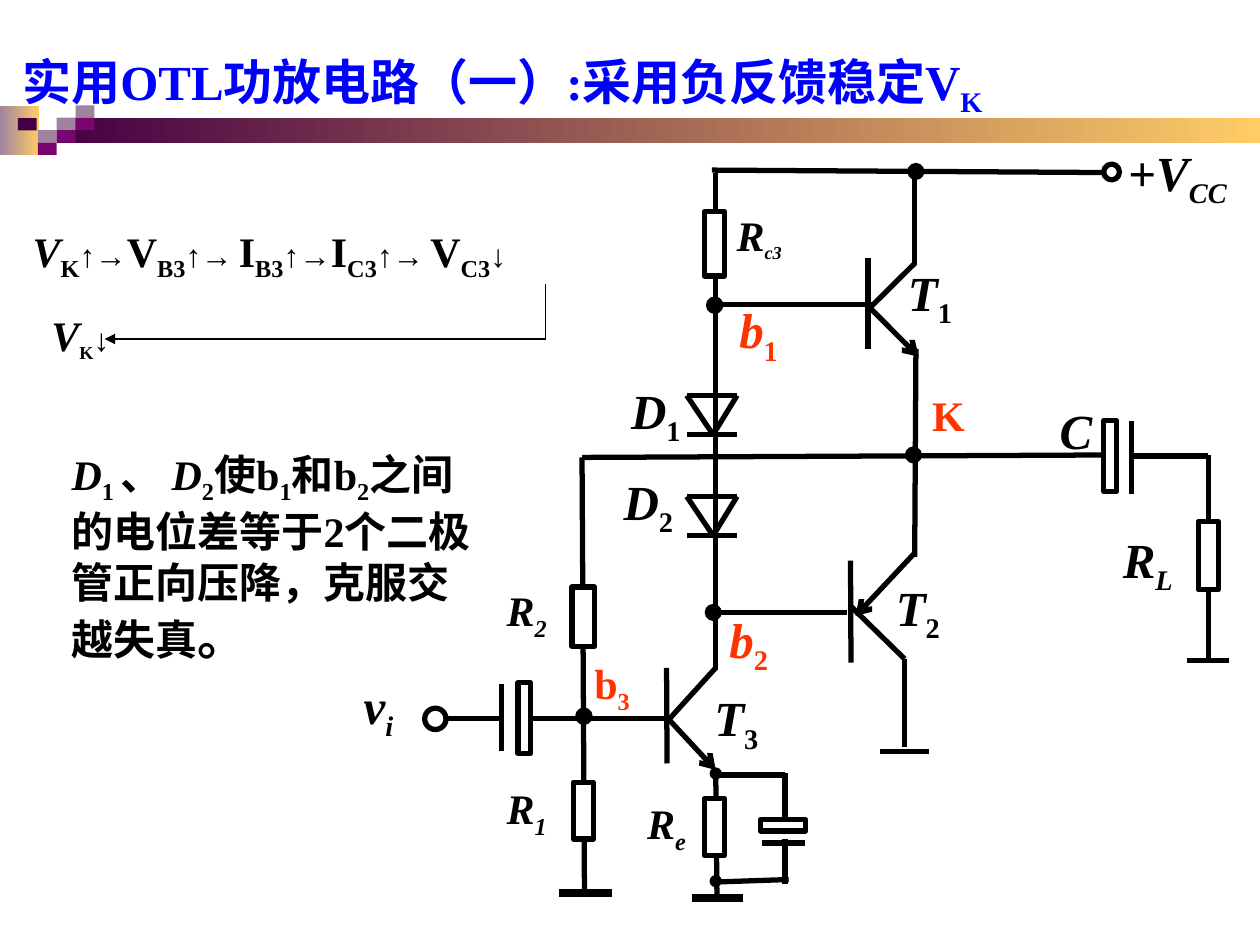
from lxml import etree
from pptx import Presentation
from pptx.dml.color import RGBColor
from pptx.enum.shapes import MSO_CONNECTOR, MSO_SHAPE
from pptx.enum.text import MSO_ANCHOR, MSO_AUTO_SIZE, PP_ALIGN
from pptx.oxml.ns import qn
from pptx.util import Pt

RECT, OVAL = MSO_SHAPE.RECTANGLE, MSO_SHAPE.OVAL
STRAIGHT = MSO_CONNECTOR.STRAIGHT
LEFT, CENTER = PP_ALIGN.LEFT, PP_ALIGN.CENTER
TOP, MIDDLE = MSO_ANCHOR.TOP, MSO_ANCHOR.MIDDLE
FIT = MSO_AUTO_SIZE.SHAPE_TO_FIT_TEXT
FONT = "Times New Roman"
BLACK, WHITE, BLUE, RED = "000000", "FFFFFF", "0000FF", "FF3300"
PLUM, MAUVE, VIOLET, GOLD = "440044", "9F839F", "790571", "FFCC66"

BANDS = [(0, 60.5, 22.3, 28, MAUVE), (32.4, 67.2, 687.6, 14.4, PLUM)]
TILES = [(1, 1, MAUVE), (2, 0, MAUVE), (2, 1, VIOLET), (0, 2, MAUVE),
         (1, 2, VIOLET), (0, 3, VIOLET)]

WIRES = [
    (409, 98.6, 409, 383), (406.8, 97.2, 630.7, 98.6), (522.7, 98, 522.7, 151.2),
    (523.4, 199.4, 522.7, 318.2), (499.7, 174.2, 406, 174.2),
    (408.2, 350, 483.8, 350), (517, 376.6, 517, 427), (332.6, 261.4, 630.7, 260),
    (332.6, 261.4, 334, 509.8), (646.6, 260.6, 690.5, 260.6),
    (690.5, 260, 690.5, 298), (690.5, 337, 690.5, 377.3),
    (380.9, 410.4, 304.6, 410.4), (286.6, 410.4, 252, 410.4),
    (409, 440, 409.7, 512.6), (448.6, 442.8, 409, 442.8),
    (448.6, 442, 448.6, 467.3), (450.7, 502.6, 409, 504),
    (448.6, 479.5, 448.6, 505.4),
]
PLATES = [(646.6, 240.5, 646.6, 282.2), (286.6, 391, 286.6, 429),
          (435.6, 481.7, 460, 481.7)]
TRANSISTORS = [
    (522.7, 150.5, 496, 177), (496, 147.6, 496, 199.4),
    (486, 320.4, 486.3, 378.7), (486, 346.3, 517, 376.6),
    (409, 381.6, 380.9, 412.6), (380.9, 381.6, 381.2, 436.3),
]
EMITTERS = [(495.4, 174.2, 524.9, 203.8), (522.7, 316, 488.9, 352),
            (380.9, 409.7, 409, 440)]
GROUNDS = [(678.2, 377.5, 702, 377.5, 3), (502.6, 429.3, 530.6, 429.3, 3),
           (395.3, 513.4, 424.8, 513.4, 4.5), (319.7, 510.5, 350, 510.5, 4.5)]
DIODE_TOPS = [226, 283.7]
DIODE_LEFT, DIODE_TIP, DIODE_RIGHT, DIODE_HEIGHT = 392.4, 407.5, 421.2, 22.4

BOXES = [
    (630.7, 240.5, 7.2, 40.3), (402.5, 121, 11.5, 36.7), (684.7, 298, 11.5, 39),
    (296, 390.2, 7.2, 40.3), (402.5, 456.5, 11.5, 32.4), (434.5, 468.4, 26, 6.5),
    (326.9, 335.5, 13, 33.8), (327.6, 447, 11.5, 32.4),
]
TERMINALS = [(248.8, 410.8, 12.2), (635.2, 98.3, 9)]
NODES = [(523.4, 98, 8.8), (408.4, 174.4, 9), (333.7, 409.3, 9),
         (407.6, 350, 8.8), (522, 260, 8.8), (409, 442, 6), (409, 503.5, 6)]

LABELS = [
    (352.8, 213.8, 44, 45.4, [("D", "i"), ("1", "s")], 28),
    (349.2, 265.7, 42.5, 45.4, [("D", "i"), ("2", "s")], 28),
    (190.8, 382.3, 51, 45.4, [("v", "i"), ("i", "is")], 28),
    (625.7, 77.8, 94.3, 45.4, [("+", ""), ("V", "i"), ("CC", "is")], 28),
    (630.7, 298.8, 50.4, 45.4, [("R", "i"), ("L", "is")], 28),
    (499.7, 146.2, 63.4, 45.4, [("T", "i"), ("1", "s")], 28),
    (493.2, 326.2, 62.6, 45.4, [("T", "i"), ("2", "s")], 28),
    (401, 389.5, 39.6, 45.4, [("T", "i"), ("3", "s")], 28),
    (598.3, 225.4, 33, 41, [("C", "i")], 28),
    (404, 116, 59.8, 38.2, [("R", "i"), ("c3", "is", 18)], 24),
    (361.4, 452.2, 38.9, 40.3, [("R", "i"), ("e", "is")], 24),
    (281.5, 443.5, 38.9, 40.3, [("R", "i"), ("1", "is")], 24),
    (281.5, 330.5, 38.9, 40.3, [("R", "i"), ("2", "is")], 24),
]
NODE_LABELS = [
    (525.6, 218.9, 38.9, 36, [("K", "")], 24),
    (415.4, 167.8, 48.2, 45.4, [("b", "i"), ("1", "s")], 28),
    (409.7, 344.9, 48.2, 45.4, [("b", "i"), ("2", "s")], 28),
    (332.6, 372.2, 38.9, 40.3, [("b", ""), ("3", "s")], 24),
]
TITLE = [("实用OTL功放电路（一）:采用负反馈稳定V", ""), ("K", "s")]
NOTE = [("D", "i"), ("1 ", "s"), ("、 ", ""), ("D", "i"), ("2", "s"), ("使b", ""),
        ("1", "s"), ("和b", ""), ("2", "s"),
        ("之间的电位差等于2个二极管正向压降，克服交越失真", ""), ("。", "", 28)]
UP = ("↑→", "", 18)
CHAIN = [("V", "i"), ("K", "s"), UP, ("V", ""), ("B3", "s"), UP, (" ", "s"),
         ("I", ""), ("B3", "s"), UP, ("I", ""), ("C3", "s"), UP, (" ", "s"),
         ("V", ""), ("C3", "s"), ("↓", "", 18)]
RESULT = [("V", "i"), ("K", "s", 18), ("↓", "", 18)]


def rgb(value):
    return RGBColor.from_string(value)


def add_shape(s, kind, x, y, w, h, fill, width=None, fade_to=None):
    sp = s.shapes.add_shape(kind, Pt(x), Pt(y), Pt(w), Pt(h))
    sp.shadow.inherit = False
    if fade_to:
        sp.fill.gradient()
        sp.fill.gradient_angle = 0
        for stop, color in zip(sp.fill.gradient_stops, (fill, fade_to)):
            stop.color.rgb = rgb(color)
    else:
        sp.fill.solid()
        sp.fill.fore_color.rgb = rgb(fill)
    if width:
        sp.line.color.rgb = rgb(BLACK)
        sp.line.width = Pt(width)
    else:
        sp.line.fill.background()


def add_line(s, x1, y1, x2, y2, width=3, head=None):
    sp = s.shapes.add_connector(STRAIGHT, Pt(x1), Pt(y1), Pt(x2), Pt(y2))
    sp.line.color.rgb = rgb(BLACK)
    sp.line.width = Pt(width)
    if head:
        etree.SubElement(sp.line._get_or_add_ln(), qn("a:tailEnd"), type=head)
    etree.SubElement(sp._element.spPr, qn("a:effectLst"))


def add_text(s, x, y, w, h, runs, size, color=BLACK, align=LEFT, anchor=TOP, wrap=True):
    sp = s.shapes.add_textbox(Pt(x), Pt(y), Pt(w), Pt(h))
    tf = sp.text_frame
    tf.word_wrap = wrap
    tf.auto_size = FIT
    tf.vertical_anchor = anchor
    p = tf.paragraphs[0]
    p.alignment = align
    for text, style, *own_size in runs:
        r = p.add_run()
        r.text = text
        r.font.name = FONT
        r.font.size = Pt(own_size[0] if own_size else size)
        r.font.bold = True
        r.font.italic = "i" in style
        r.font.color.rgb = rgb(color)
        if "s" in style:
            r._r.get_or_add_rPr().set("baseline", "-25000")


def add_header(s):
    for x, y, w, h, color in BANDS:
        add_shape(s, RECT, x, y, w, h, color, fade_to=GOLD)
    for col, row, color in TILES:
        add_shape(s, RECT, 21.6 + 10.8 * col, 60.2 + 7.1 * row, 10.8, 7.1, color)
    add_shape(s, RECT, 10.2, 67.5, 10.8, 7.1, PLUM)
    add_text(s, 5.8, 25.9, 610, 45.4, TITLE, 28, color=BLUE)


def add_circuit(s):
    for line in WIRES + PLATES + TRANSISTORS + GROUNDS:
        add_line(s, *line)
    for line in EMITTERS:
        add_line(s, *line, head="arrow")
    for top in DIODE_TOPS:
        bottom = top + DIODE_HEIGHT
        for y in (top, bottom):
            add_line(s, DIODE_LEFT, y, DIODE_RIGHT, y)
        for x in (DIODE_LEFT, DIODE_RIGHT):
            add_line(s, x, top, DIODE_TIP, bottom)
    for box in BOXES:
        add_shape(s, RECT, *box, WHITE, width=3)
    for circles, fill, width in ((TERMINALS, WHITE, 3), (NODES, BLACK, 1)):
        for x, y, d in circles:
            add_shape(s, OVAL, x - d / 2, y - d / 2, d, d, fill, width=width)
    for label in LABELS:
        add_text(s, *label, align=CENTER, anchor=MIDDLE)
    for label in NODE_LABELS:
        add_text(s, *label, color=RED)


def add_explanation(s):
    add_text(s, 33.8, 252.7, 252.7, 131, NOTE, 24)
    add_text(s, 11.5, 125.3, 351.4, 40.3, CHAIN, 24)
    add_line(s, 311.8, 162, 311.8, 193.7, width=0.75)
    add_line(s, 311.8, 193.7, 59.8, 193.7, width=0.75, head="triangle")
    add_text(s, 22.3, 173.5, 47.5, 38.2, RESULT, 24, wrap=False)


def main():
    prs = Presentation()
    prs.slide_width, prs.slide_height = Pt(720), Pt(540)
    s = prs.slides.add_slide(prs.slide_layouts[6])
    add_header(s)
    add_circuit(s)
    add_explanation(s)
    prs.save("out.pptx")


if __name__ == "__main__":
    main()
